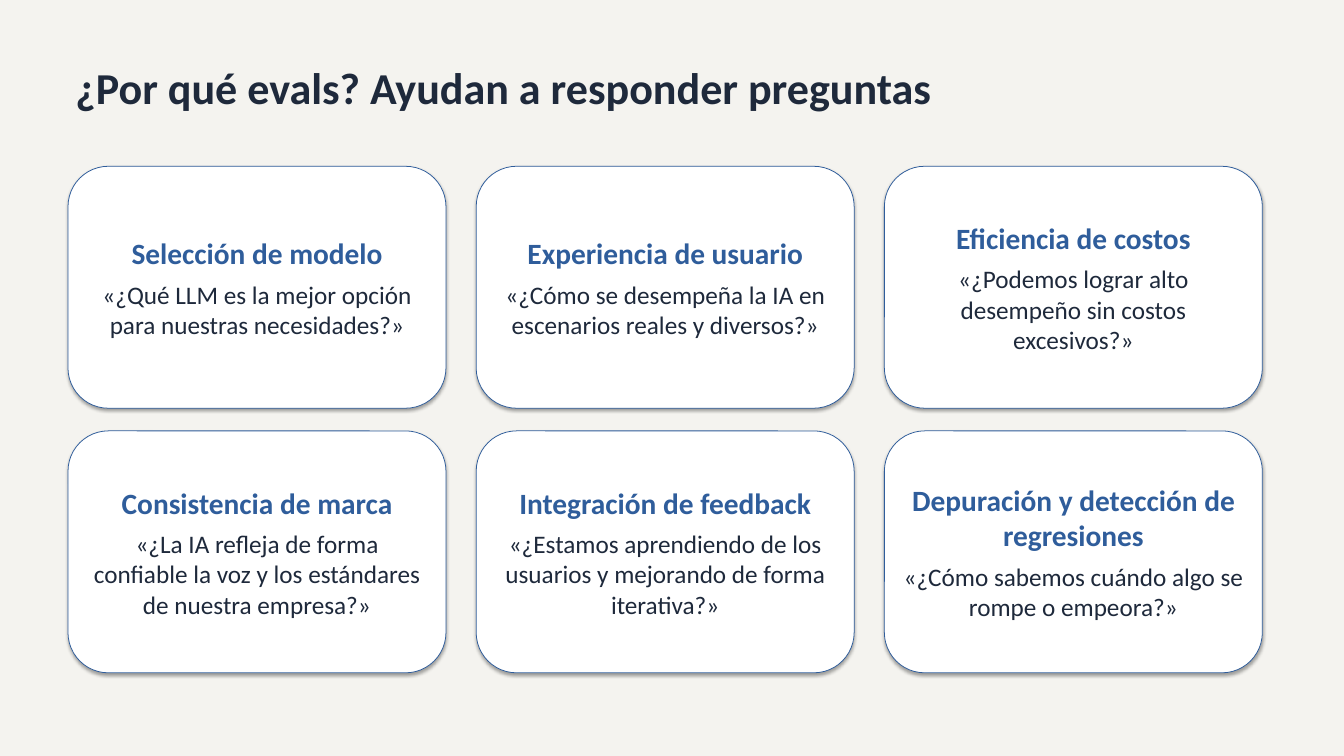
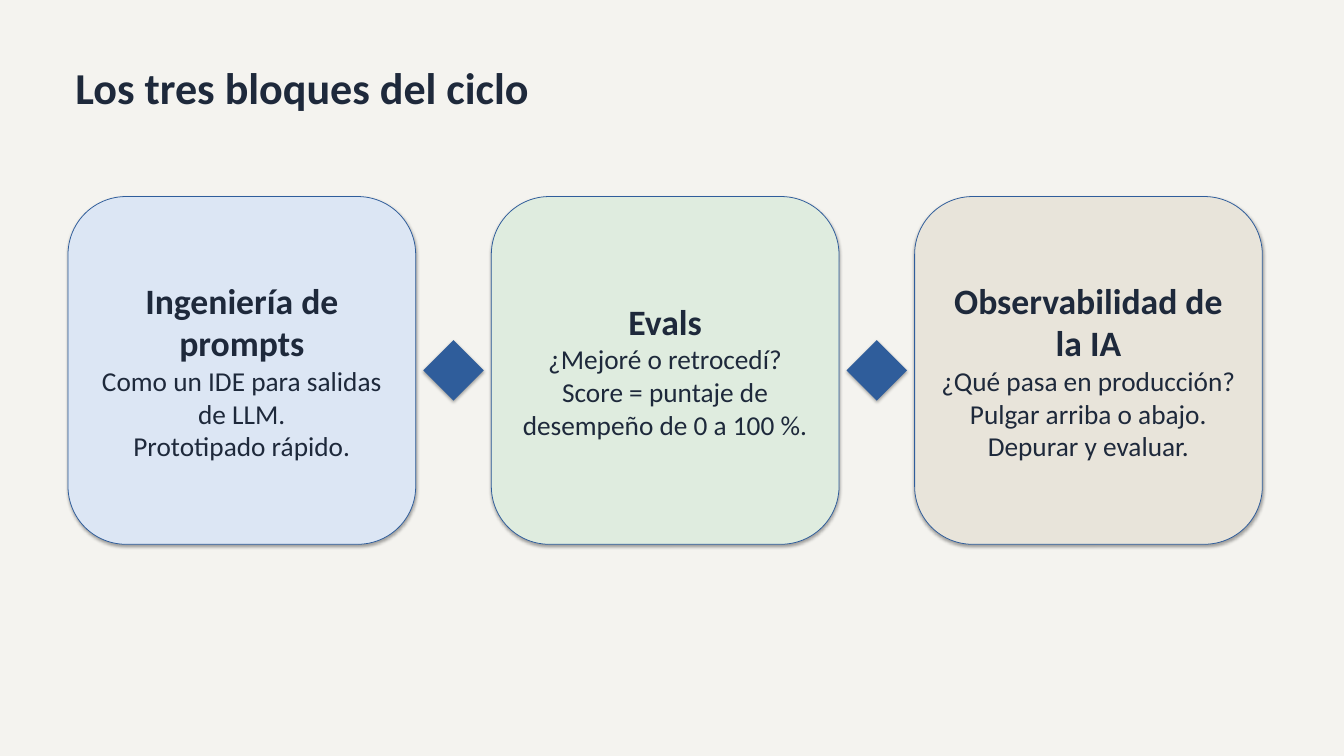
from dataclasses import dataclass

from pptx import Presentation
from pptx.dml.color import RGBColor
from pptx.enum.shapes import MSO_SHAPE as Shape
from pptx.enum.text import MSO_ANCHOR as Anchor, MSO_AUTO_SIZE as AutoSize, PP_ALIGN as Align
from pptx.presentation import Presentation as Deck
from pptx.shapes.autoshape import Shape as AutoShape
from pptx.slide import Slide
from pptx.util import Inches, Pt


@dataclass(frozen=True)
class Theme:
    font: str = "Calibri"
    background: str = "F4F3EF"
    ink: str = "1E293B"
    accent: str = "2F5D9B"
    white: str = "FFFFFF"
    blue: str = "DCE6F4"
    green: str = "DFECDF"
    sand: str = "E8E4DA"
    title_size: int = 42
    question_head: int = 28
    question_body: int = 24
    block_head: int = 34
    block_body: int = 26
    outline: float = 0.75


THEME = Theme()
MARGIN = 0.9


@dataclass(frozen=True)
class Line:
    text: str
    size: int
    color: str = THEME.ink
    bold: bool = False
    space_before: int = 0


@dataclass(frozen=True)
class Question:
    topic: str
    quote: str


@dataclass(frozen=True)
class Block:
    name: str
    fill: str
    details: tuple[str, ...]


QUESTIONS = (
    Question("Selección de modelo", "«¿Qué LLM es la mejor opción para nuestras necesidades?»"),
    Question("Experiencia de usuario", "«¿Cómo se desempeña la IA en escenarios reales y diversos?»"),
    Question("Eficiencia de costos", "«¿Podemos lograr alto desempeño sin costos excesivos?»"),
    Question("Consistencia de marca",
             "«¿La IA refleja de forma confiable la voz y los estándares de nuestra empresa?»"),
    Question("Integración de feedback",
             "«¿Estamos aprendiendo de los usuarios y mejorando de forma iterativa?»"),
    Question("Depuración y detección de regresiones",
             "«¿Cómo sabemos cuándo algo se rompe o empeora?»"),
)

BLOCKS = (
    Block("Ingeniería de prompts", THEME.blue,
          ("Como un IDE para salidas de LLM.", "Prototipado rápido.")),
    Block("Evals", THEME.green,
          ("¿Mejoré o retrocedí?", "Score = puntaje de desempeño de 0 a 100 %.")),
    Block("Observabilidad de la IA", THEME.sand,
          ("¿Qué pasa en producción?", "Pulgar arriba o abajo.", "Depurar y evaluar.")),
)


def write(shape: AutoShape, lines: list[Line], align: Align) -> None:
    tf = shape.text_frame
    tf.word_wrap = True
    tf.vertical_anchor = Anchor.MIDDLE
    for i, line in enumerate(lines):
        p = tf.paragraphs[0] if i == 0 else tf.add_paragraph()
        p.text = line.text
        p.alignment = align
        if line.space_before:
            p.space_before = Pt(line.space_before)
        p.font.name = THEME.font
        p.font.size = Pt(line.size)
        p.font.bold = line.bold
        p.font.color.rgb = RGBColor.from_string(line.color)


def add_titled_slide(prs: Deck, title: str) -> Slide:
    s = prs.slides.add_slide(prs.slide_layouts[6])
    s.background.fill.solid()
    s.background.fill.fore_color.rgb = RGBColor.from_string(THEME.background)
    box = s.shapes.add_textbox(Inches(MARGIN), Inches(0.5), Inches(15.98), Inches(1.3))
    write(box, [Line(title, THEME.title_size, bold=True)], Align.LEFT)
    box.text_frame.auto_size = AutoSize.SHAPE_TO_FIT_TEXT
    return s


def add_filled(s: Slide, kind: Shape, left: float, top: float,
               width: float, height: float, fill: str) -> AutoShape:
    """Add a filled shape that keeps the soft shadow of the document theme."""
    sp = s.shapes.add_shape(kind, Inches(left), Inches(top), Inches(width), Inches(height))
    sp.fill.solid()
    sp.fill.fore_color.rgb = RGBColor.from_string(fill)
    return sp


def add_card(s: Slide, left: float, top: float, width: float, height: float,
             fill: str, lines: list[Line]) -> None:
    card = add_filled(s, Shape.ROUNDED_RECTANGLE, left, top, width, height, fill)
    card.line.color.rgb = RGBColor.from_string(THEME.accent)
    card.line.width = Pt(THEME.outline)
    write(card, lines, Align.CENTER)


def build_questions(prs: Deck) -> None:
    s = add_titled_slide(prs, "¿Por qué evals? Ayudan a responder preguntas")
    columns, top, width, height = 3, 2.2, 5, 3.2
    column_gap, row_gap = 0.4, 0.3
    for i, question in enumerate(QUESTIONS):
        row, column = divmod(i, columns)
        add_card(s, MARGIN + column * (width + column_gap), top + row * (height + row_gap),
                 width, height, THEME.white, [
                     Line(question.topic, THEME.question_head, THEME.accent, bold=True),
                     Line(question.quote, THEME.question_body, space_before=8),
                 ])


def build_cycle(prs: Deck) -> None:
    s = add_titled_slide(prs, "Los tres bloques del ciclo")
    top, side, arrow, gap = 2.6, 4.6, 0.8, 0.1
    for i, block in enumerate(BLOCKS):
        left = MARGIN + i * (side + arrow + 2 * gap)
        if i:
            link = add_filled(s, Shape.LEFT_RIGHT_ARROW, left - gap - arrow,
                              top + (side - arrow) / 2, arrow, arrow, THEME.accent)
            link.line.fill.background()
        add_card(s, left, top, side, side, block.fill, [
            Line(block.name, THEME.block_head, bold=True),
            *(Line(detail, THEME.block_body) for detail in block.details),
        ])


def main() -> None:
    prs = Presentation()
    prs.slide_width, prs.slide_height = Inches(17.78), Inches(10)
    build_questions(prs)
    build_cycle(prs)
    prs.save("out.pptx")


if __name__ == "__main__":
    main()
